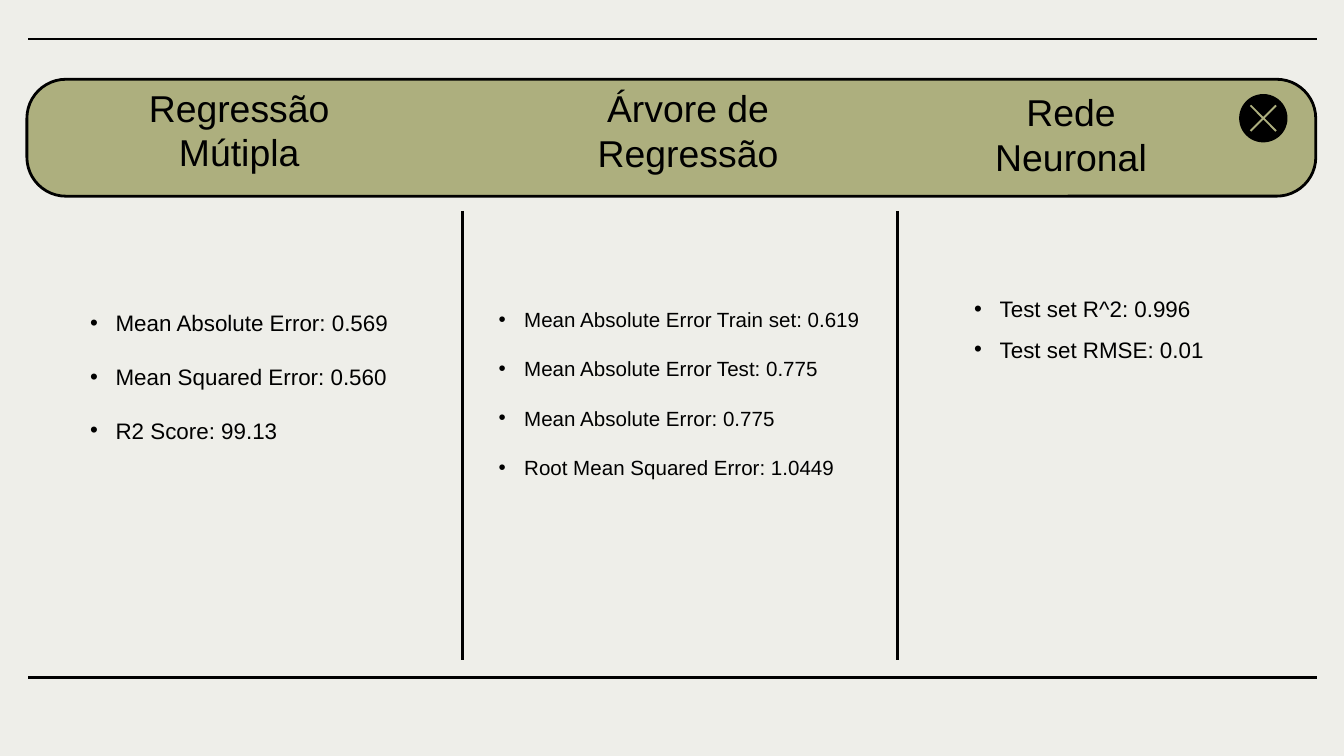
from pptx import Presentation
from pptx.dml.color import RGBColor as RGB
from pptx.enum.shapes import MSO_CONNECTOR as CONN, MSO_SHAPE as SHAPE
from pptx.enum.text import MSO_ANCHOR as ANCHOR, MSO_AUTO_SIZE as FIT, PP_ALIGN as ALIGN
from pptx.oxml.ns import qn
from pptx.util import Inches, Pt
from lxml.etree import SubElement

# Content: heading and its box, list and its box, type size, line spacing
COLS = [
    dict(head="Regressão Mútipla", hbox=(0.57, 0.56, 2.42, 0.81),
         items=["Mean Absolute Error: 0.569", "Mean Squared Error: 0.560",
                "R2 Score: 99.13"],
         box=(0.57, 2.05, 2.7, 1.25), size=12, gap=2.0),
    dict(head="Árvore de Regressão", hbox=(4.16, 0.57, 1.92, 0.8),
         items=["Mean Absolute Error Train set: 0.619",
                "Mean Absolute Error Test: 0.775",
                "Mean Absolute Error: 0.775",
                "Root Mean Squared Error: 1.0449"],
         box=(3.61, 2.05, 2.9, 1.52), size=11, gap=2.0),
    dict(head="Rede Neuronal", hbox=(7.01, 0.6, 1.92, 0.8),
         items=["Test set R^2: 0.996", "Test set RMSE: 0.01"],
         box=(7.15, 2.05, 2.35, 0.67), size=12, gap=1.5),
]
RULES = [(0.21, y, 9.8, y) for y in (0.29, 5.04)]
RULES += [(x, 1.57, x, 4.91) for x in (3.44, 6.68)]

THEME = dict(font="Arial", head=20, line=1.5, ink=RGB(0, 0, 0),
             olive=RGB(0xAD, 0xAF, 0x7E), back=RGB(0xEE, 0xEE, 0xE9))

# Widescreen page, 16 to 9
prs = Presentation()
prs.slide_width = Inches(10)
prs.slide_height = Inches(10 * 9 / 16)
slide = prs.slides.add_slide(prs.slide_layouts.get_by_name("Comparison"))
slide.background.fill.solid()
slide.background.fill.fore_color.rgb = THEME["back"]
shapes = slide.shapes
holders = {p.placeholder_format.idx: p for p in slide.placeholders}


def inch(vals):
    return [Inches(v) for v in vals]


def paint(shape, color, edge=None):
    shape.shadow.inherit = False
    shape.fill.solid()
    shape.fill.fore_color.rgb = color
    if edge is None:
        shape.line.fill.background()
    else:
        shape.line.color.rgb = edge
        shape.line.width = Pt(THEME["line"])


def rule(ends):
    line = shapes.add_connector(CONN.STRAIGHT, *inch(ends))
    line.line.color.rgb = THEME["ink"]
    line.line.width = Pt(THEME["line"])
    SubElement(line._element.spPr, qn("a:effectLst"))


def bullet(para):
    props = para._p.get_or_add_pPr()
    props.set("marL", str(Inches(0.19)))
    props.set("indent", str(-Inches(0.19)))
    color = SubElement(props, qn("a:buClr"))
    SubElement(color, qn("a:srgbClr"), val=str(THEME["ink"]))
    SubElement(props, qn("a:buFont"), typeface=THEME["font"])
    SubElement(props, qn("a:buChar"), char="•")


def write(shape, box, lines, size, gap=1.0, listed=False):
    shape.left, shape.top, shape.width, shape.height = inch(box)
    frame = shape.text_frame
    frame.word_wrap = True
    frame.auto_size = FIT.SHAPE_TO_FIT_TEXT if listed else FIT.NONE
    frame.vertical_anchor = ANCHOR.TOP if listed else ANCHOR.MIDDLE
    frame.margin_left = frame.margin_right = Inches(0.1)
    frame.margin_top = frame.margin_bottom = Inches(0.05 if listed else 0.1)
    for i, text in enumerate(lines):
        para = frame.add_paragraph() if i else frame.paragraphs[0]
        para.alignment = ALIGN.LEFT if listed else ALIGN.CENTER
        para.line_spacing = gap
        para.space_before = para.space_after = Pt(0)
        if listed:
            bullet(para)
        run = para.add_run()
        run.text = text
        font = run.font
        font.name, font.size, font.bold = THEME["font"], Pt(size), False
        font.color.rgb = THEME["ink"]


# Header bar, sent behind the headings
bar = shapes.add_shape(SHAPE.ROUNDED_RECTANGLE, *inch((0.2, 0.59, 9.59, 0.87)))
bar.adjustments[0] = 0.334
paint(bar, THEME["olive"], THEME["ink"])
shapes._spTree.insert(2, bar._element)

# Rules and column dividers
for ends in RULES:
    rule(ends)

# Close button: disc and cross
disc = shapes.add_shape(SHAPE.OVAL, *inch((9.22, 0.7, 0.36, 0.36)))
paint(disc, THEME["ink"])
CX, CY, ARM, CUT = 9.4, 0.88, 0.1, 0.01
NEAR = ARM - CUT
cross = [(-NEAR, -ARM), (-ARM, -NEAR), (-CUT, 0), (-ARM, NEAR),
         (-NEAR, ARM), (0, CUT), (NEAR, ARM), (ARM, NEAR),
         (CUT, 0), (ARM, -NEAR), (NEAR, -ARM), (0, -CUT)]
pts = [inch((CX + x, CY + y)) for x, y in cross]
pen = shapes.build_freeform(*pts[0])
pen.add_line_segments(pts[1:], close=True)
paint(pen.convert_to_shape(), THEME["olive"])

# Headings and lists; the third list needs a text box of its own
heads = [holders[i] for i in (0, 1, 3)]
lists = [holders[2], holders[4], shapes.add_textbox(*inch(COLS[2]["box"]))]
for col, head, body in zip(COLS, heads, lists):
    write(head, col["hbox"], [col["head"]], THEME["head"])
    write(body, col["box"], col["items"], col["size"], col["gap"], listed=True)

prs.save("out.pptx")
